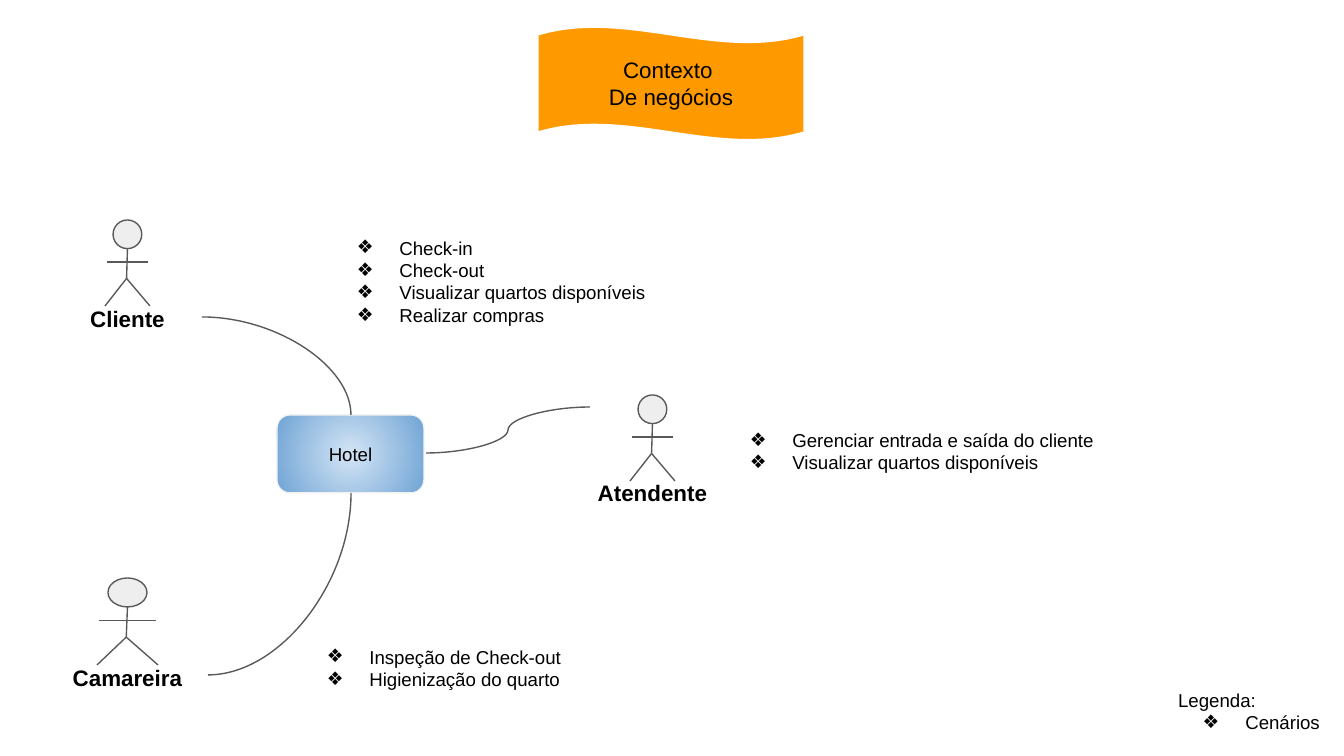
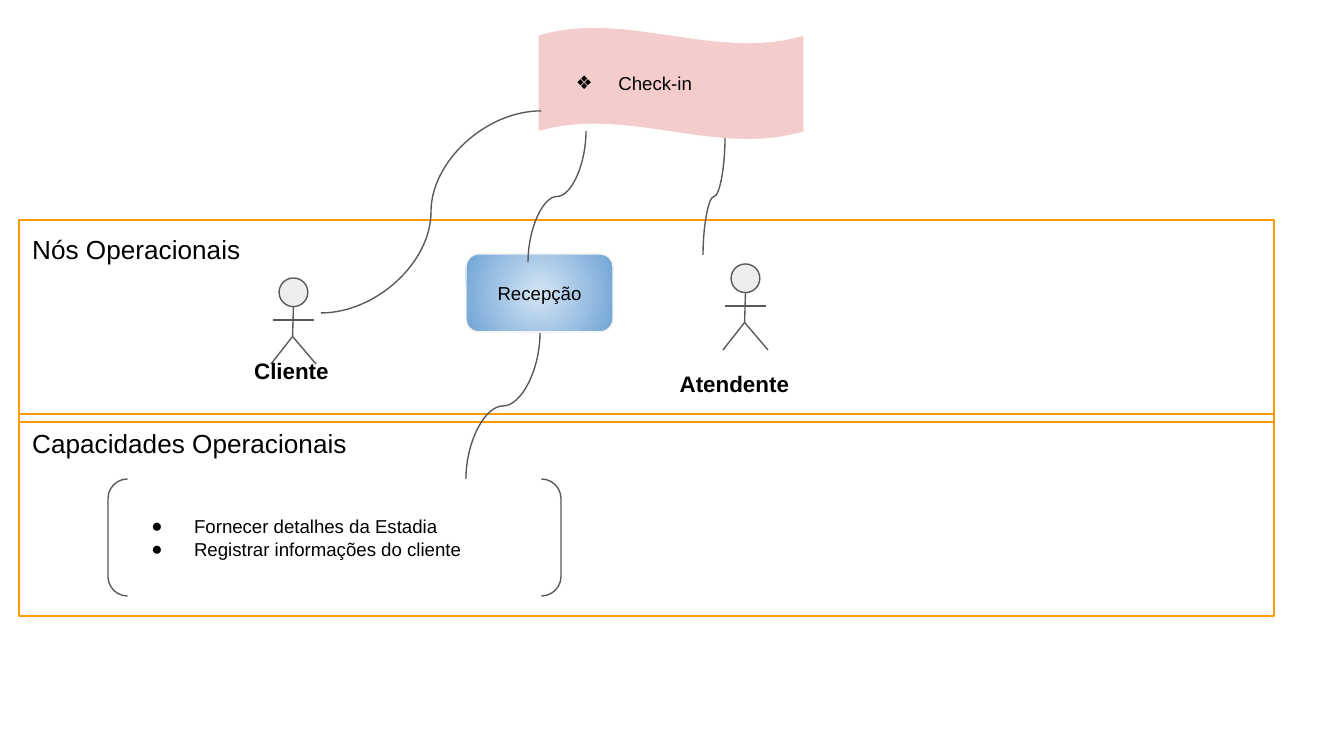
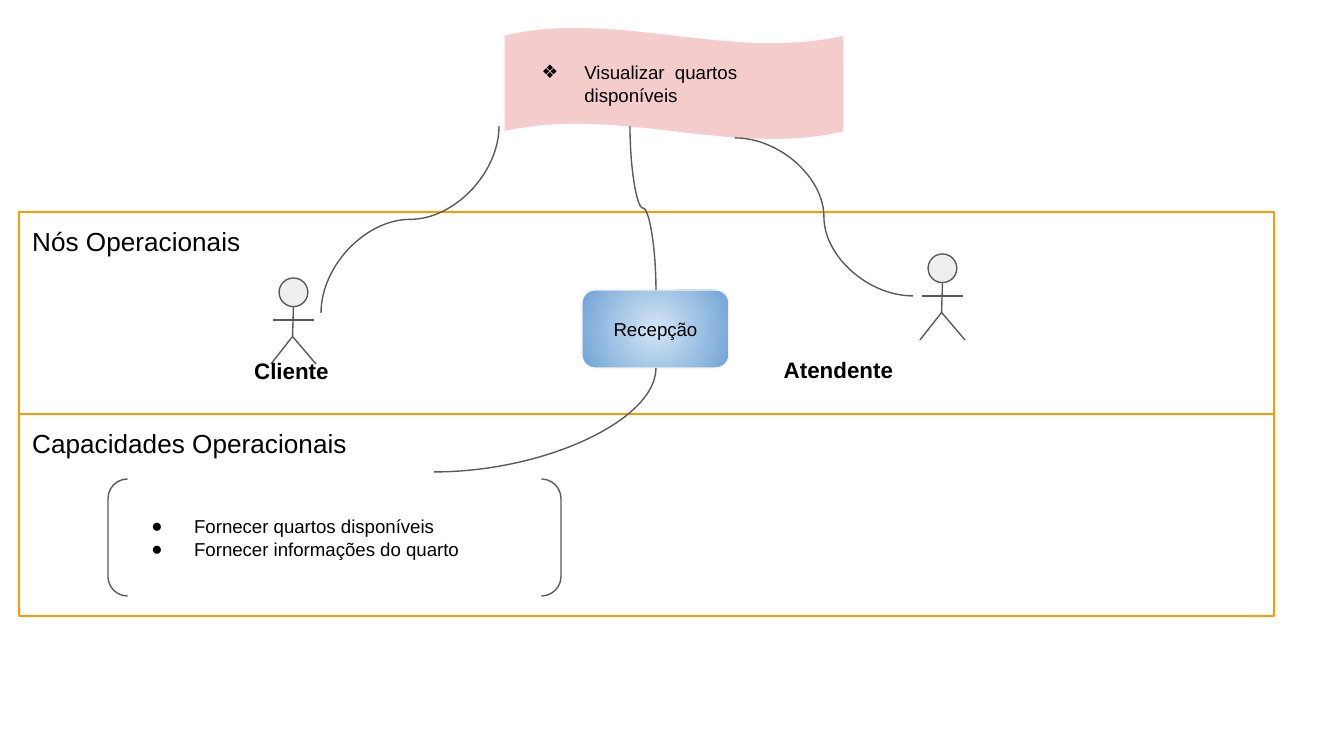
from lxml import etree
from pptx import Presentation
from pptx import util as u
from pptx.dml.color import RGBColor
from pptx.enum import shapes, text
from pptx.oxml.ns import qn

SCALE = 914400 / 134.4
FONT = "Arial"
COLORS = {
    "ink": "000000", "line": "595959", "head": "EEEEEE", "orange": "FF9900",
    "pink": "F4CCCC", "white": "FFFFFF", "glow": "D4E5F5", "blue": "70A4D5",
    "edge": "F3F3F3",
}
DIAMOND, DOT = "❖", "●"
INSET, INDENT, HANGING = 13.44, 67.2, 42.67
NODE_SIZE = (147, 78)
FIGURE_SIZE = (45, 86)
LABEL_SIZE = (151, 51)
KIND = shapes.MSO_SHAPE
LEFT, CENTER = text.PP_ALIGN.LEFT, text.PP_ALIGN.CENTER
TOP, MIDDLE = text.MSO_ANCHOR.TOP, text.MSO_ANCHOR.MIDDLE


def px(*lengths):
    """Turn pixels into EMU."""
    return [u.Emu(round(length * SCALE)) for length in lengths]


def color(name):
    """Look up a colour by name."""
    return RGBColor.from_string(COLORS[name])


def set_all(target, values):
    """Set each named attribute of an object."""
    for name, value in values.items():
        setattr(target, name, value)


def set_bullet(para, mark):
    """Give a paragraph a hanging bullet."""
    props = para._p.get_or_add_pPr()
    left, hanging = px(INDENT, HANGING)
    props.set("marL", str(left))
    props.set("indent", str(-hanging))
    tint = etree.SubElement(props, qn("a:buClr"))
    etree.SubElement(tint, qn("a:srgbClr"), val=COLORS["ink"])
    etree.SubElement(props, qn("a:buFont"), typeface=FONT)
    etree.SubElement(props, qn("a:buChar"), char=mark)


def write(shape, lines, size=10, bold=False, align=LEFT, anchor=TOP,
          bullet=None, plain=0, top=INSET):
    """Fill a shape with lines; those after the first plain ones get bullets."""
    frame = shape.text_frame
    side, top = px(INSET, top)
    set_all(frame, {"word_wrap": True, "vertical_anchor": anchor,
                    "margin_left": side, "margin_right": side,
                    "margin_top": top, "margin_bottom": side})
    for index, line in enumerate(lines):
        para = frame.add_paragraph() if index else frame.paragraphs[0]
        para.alignment = align
        if bullet and index >= plain:
            set_bullet(para, bullet)
        span = para.add_run()
        span.text = line
        set_all(span.font, {"name": FONT, "size": u.Pt(size), "bold": bold})
        span.font.color.rgb = color("ink")


def draw_line(item, name):
    """Give a shape or connector a thin line."""
    item.line.color.rgb = color(name)
    item.line.width = u.Pt(0.75)


def add_shape(parent, kind, box, fill=None, line="line"):
    """Place a preset shape without a shadow."""
    shape = parent.shapes.add_shape(kind, *px(*box))
    shape.shadow.inherit = False
    if fill:
        shape.fill.solid()
        shape.fill.fore_color.rgb = color(fill)
    else:
        shape.fill.background()
    draw_line(shape, line)
    return shape


def add_text(parent, box, lines, **style):
    """Place a text box."""
    write(parent.shapes.add_textbox(*px(*box)), lines, **style)


def add_line(parent, start, end, kind=shapes.MSO_CONNECTOR.STRAIGHT):
    """Place a connector without a shadow."""
    line = parent.shapes.add_connector(kind, *px(*start, *end))
    draw_line(line, "line")
    etree.SubElement(line._element.spPr, qn("a:effectLst"))
    return line


def add_curve(page, start, end, route):
    """Link two points: "across", "down" (S-curves) or "quarter" (one bend)."""
    kind = shapes.MSO_CONNECTOR.CURVE
    if route != "down":
        curve = add_line(page, start, end, kind)
        if route == "quarter":
            geometry = curve._element.spPr.find(qn("a:prstGeom"))
            geometry.set("prst", "curvedConnector2")
        return
    # A curve that leaves vertically is a horizontal one turned by 90 degrees.
    (x1, y1), (x2, y2) = sorted((start, end), key=lambda point: point[1])
    middle_x, middle_y = (x1 + x2) / 2, (y1 + y2) / 2
    half_run, half_rise = (y2 - y1) / 2, (x1 - x2) / 2
    curve = add_line(page, (middle_x - half_run, middle_y - half_rise),
                     (middle_x + half_run, middle_y + half_rise), kind)
    curve._element.spPr.find(qn("a:xfrm")).set("rot", "5400000")


def add_banner(page, box, fill, lines, **style):
    """Draw the waving title flag."""
    flag = add_shape(page, KIND.WAVE, box, fill, "white")
    flag.adjustments[0] = 0.07
    write(flag, lines, anchor=MIDDLE, **style)


def add_node(page, corner, name):
    """Draw a rounded node with a radial glow."""
    node = add_shape(page, KIND.ROUNDED_RECTANGLE, corner + NODE_SIZE, line="edge")
    node.fill.gradient()
    for stop, tint in zip(node.fill.gradient_stops, ("glow", "blue")):
        stop.color.rgb = color(tint)
    gradient = node._element.spPr.find(qn("a:gradFill"))
    gradient.remove(gradient.find(qn("a:lin")))
    radial = etree.SubElement(gradient, qn("a:path"), path="circle")
    etree.SubElement(radial, qn("a:fillToRect"),
                     {side: "50000" for side in "ltrb"})
    write(node, [name], align=CENTER, anchor=MIDDLE)


def add_actor(page, name, figure, label):
    """Draw a stick figure in its box, with its name in the label box."""
    left, top, width, height = figure

    def at(across, down):
        return left + across * width, top + down * height

    actor = page.shapes.add_group_shape()
    add_shape(actor, KIND.FLOWCHART_CONNECTOR,
              (*at(0.18, 0), 0.64 * width, height / 3), "head")
    hip = at(0.48, 0.68)
    for start, end in ((at(0.5, 0.33), hip), (at(0.04, 0.49), at(0.96, 0.49)),
                       (hip, at(0, 1)), (at(1, 1), hip)):
        add_line(actor, start, end)
    add_text(actor, label, [name], size=12, bold=True, align=CENTER)


def add_band(page, top, title):
    """Draw a framed band with its heading."""
    band = add_shape(page, KIND.RECTANGLE, (19, top, 1255, 202), line="orange")
    write(band, [title], size=14)


def context_slide(page):
    """Show the hotel, its actors and their scenarios."""
    add_banner(page, (538, 27, 266, 113), "orange",
               ["Contexto ", "De negócios"], size=12, align=CENTER)
    add_node(page, (277, 415), "Hotel")
    for name, figure, label in (
            ("Camareira", (97, 578, 61, 87), (46, 651, 163, 51)),
            ("Cliente", (105, 220) + FIGURE_SIZE, (52, 292) + LABEL_SIZE),
            ("Atendente", (630, 395) + FIGURE_SIZE, (577, 466) + LABEL_SIZE)):
        add_actor(page, name, figure, label)
    for start, end, route in (((202, 317), (351, 415), "quarter"),
                              ((208, 675), (351, 493), "quarter"),
                              ((590, 407), (426, 453), "across")):
        add_curve(page, start, end, route)
    rooms = "Visualizar quartos disponíveis"
    for box, lines, style in (
            ((319, 223, 446, 136),
             ["Check-in", "Check-out", rooms, "Realizar compras "], {}),
            ((289, 632, 446, 122),
             ["Inspeção de Check-out", "Higienização do quarto"], {}),
            ((712, 395, 446, 136),
             ["Gerenciar entrada e saída do cliente", rooms], {"top": 36}),
            ((1165, 675, 171, 70), ["Legenda:", "Cenários"], {"plain": 1})):
        add_text(page, box, lines, bullet=DIAMOND, **style)


def scenario_slide(page, title, banner, band_top, node, clerk, clerk_label,
                   abilities, curves):
    """Show one scenario with its operational nodes and capabilities."""
    add_band(page, band_top, "Nós Operacionais")
    add_banner(page, banner, "pink", [title], bullet=DIAMOND)
    add_band(page, 414, "Capacidades Operacionais")
    add_node(page, node, "Recepção")
    bracket = add_shape(page, KIND.DOUBLE_BRACKET, (108, 479, 453, 117))
    write(bracket, abilities, anchor=MIDDLE, bullet=DOT)
    for name, figure, label in (("Cliente", (271, 278), (216, 344)),
                                ("Atendente", clerk, clerk_label)):
        add_actor(page, name, figure + FIGURE_SIZE, label + LABEL_SIZE)
    for start, end, route in curves:
        add_curve(page, start, end, route)


SCENARIOS = (
    {"title": "Check-in", "banner": (538, 27, 266, 113), "band_top": 220,
     "node": (466, 254), "clerk": (723, 264), "clerk_label": (659, 357),
     "abilities": ["Fornecer detalhes da Estadia",
                   "Registrar informações do cliente"],
     "curves": (((466, 479), (540, 333), "down"),
                ((528, 262), (586, 131), "down"),
                ((321, 313), (541, 111), "across"),
                ((703, 255), (725, 138), "down"))},
    {"title": "Visualizar  quartos disponíveis", "banner": (504, 27, 340, 113),
     "band_top": 212,
     "node": (582, 290), "clerk": (920, 254), "clerk_label": (763, 343),
     "abilities": ["Fornecer quartos disponíveis",
                   "Fornecer informações do quarto"],
     "curves": (((434, 472), (656, 368), "quarter"),
                ((656, 290), (630, 126), "down"),
                ((321, 313), (499, 126), "down"),
                ((913, 296), (735, 138), "across"))},
)

deck = Presentation()
deck.slide_width, deck.slide_height = px(1344, 756)
blank = deck.slide_layouts[6]
context_slide(deck.slides.add_slide(blank))
for scenario in SCENARIOS:
    scenario_slide(deck.slides.add_slide(blank), **scenario)
deck.save("out.pptx")
